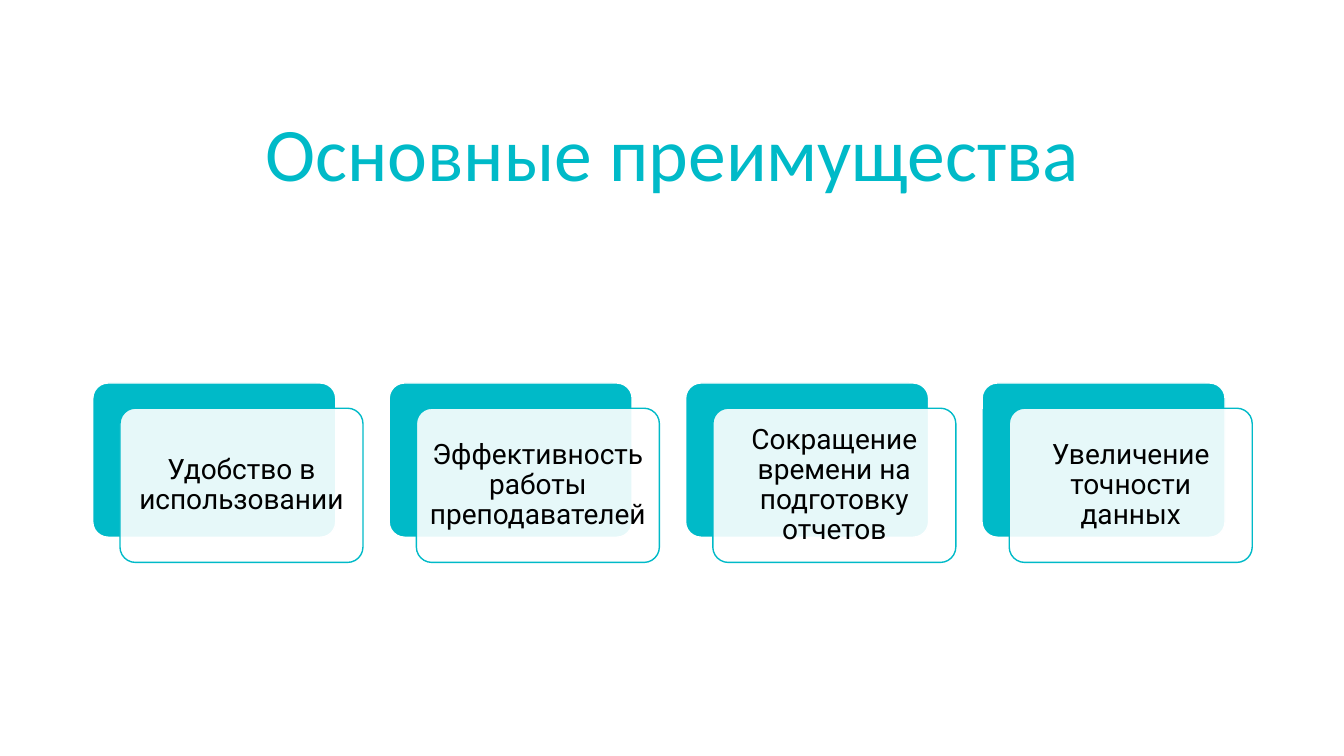
from pptx import Presentation
from pptx.dml.color import RGBColor
from pptx.enum.shapes import MSO_SHAPE
from pptx.enum.text import MSO_ANCHOR, PP_ALIGN
from pptx.oxml.ns import qn
from pptx.util import Inches, Pt
from lxml.etree import SubElement

BENEFITS = [
    "Удобство в использовании",
    "Эффективность работы преподавателей",
    "Сокращение времени на подготовку отчетов",
    "Увеличение точности данных",
]


def color(hex_code):
    return RGBColor.from_string(hex_code)


class BenefitsSlide:
    TEAL, NAVY, WHITE, BLACK = "00BAC8", "203040", "FFFFFF", "000000"
    TITLE_FONT, CARD_FONT = "Calibri", "Roboto"
    # Card grid: left margin, top, column pitch, card size, front offset
    LEFT, TOP, PITCH = 0.92, 3.8, 2.94
    WIDTH, HEIGHT = 2.41, 1.53
    SHIFT_X, SHIFT_Y = 0.27, 0.25

    def __init__(self, deck):
        self.slide = deck.slides.add_slide(deck.slide_layouts[5])
        background = self.slide.background.fill
        background.solid()
        background.fore_color.rgb = color(self.WHITE)

    def add_text(self, frame, text, font_name, size):
        paragraph = frame.paragraphs[0]
        paragraph.alignment = PP_ALIGN.CENTER
        paragraph.line_spacing = 0.9
        run = paragraph.add_run()
        run.text = text
        run.font.name = font_name
        run.font.size = Pt(size)
        return run

    def heading(self, text):
        title = self.slide.shapes.title
        title.left, title.top = Inches(self.LEFT), Inches(0)
        title.width, title.height = Inches(11.5), Inches(1.96)
        frame = title.text_frame
        frame.vertical_anchor = MSO_ANCHOR.BOTTOM
        frame.margin_bottom = 0
        fill = self.add_text(frame, text, self.TITLE_FONT, 54).font.fill
        fill.gradient()
        fill.gradient_angle = 0
        for stop, tone in zip(fill.gradient_stops, (self.TEAL, self.NAVY)):
            stop.color.rgb = color(tone)

    def panel(self, left, top, fill, line, opacity=100):
        panel = self.slide.shapes.add_shape(
            MSO_SHAPE.ROUNDED_RECTANGLE, Inches(left), Inches(top),
            Inches(self.WIDTH), Inches(self.HEIGHT))
        panel.adjustments[0] = 0.1
        panel.shadow.inherit = False
        panel.fill.solid()
        panel.fill.fore_color.rgb = color(fill)
        panel.line.color.rgb = color(line)
        panel.line.width = Pt(1)
        if opacity < 100:
            tint = panel.element.spPr.find(qn("a:solidFill"))[0]
            SubElement(tint, qn("a:alpha"), val=str(opacity * 1000))
        return panel

    def card(self, column, text):
        left = self.LEFT + column * self.PITCH
        self.panel(left, self.TOP, self.TEAL, self.WHITE)
        front = self.panel(left + self.SHIFT_X, self.TOP + self.SHIFT_Y,
                           self.WHITE, self.TEAL, opacity=90)
        frame = front.text_frame
        frame.word_wrap = True
        frame.vertical_anchor = MSO_ANCHOR.MIDDLE
        frame.margin_left = frame.margin_right = Inches(0.08)
        frame.margin_top = frame.margin_bottom = Inches(0.08)
        label = self.add_text(frame, text, self.CARD_FONT, 20)
        label.font.color.rgb = color(self.BLACK)


def main():
    deck = Presentation()
    deck.slide_width, deck.slide_height = Inches(13.33), Inches(7.5)
    benefits = BenefitsSlide(deck)

    # Title
    benefits.heading("Основные преимущества")

    # Row of benefit cards
    for column, text in enumerate(BENEFITS):
        benefits.card(column, text)

    deck.save("out.pptx")


if __name__ == "__main__":
    main()
